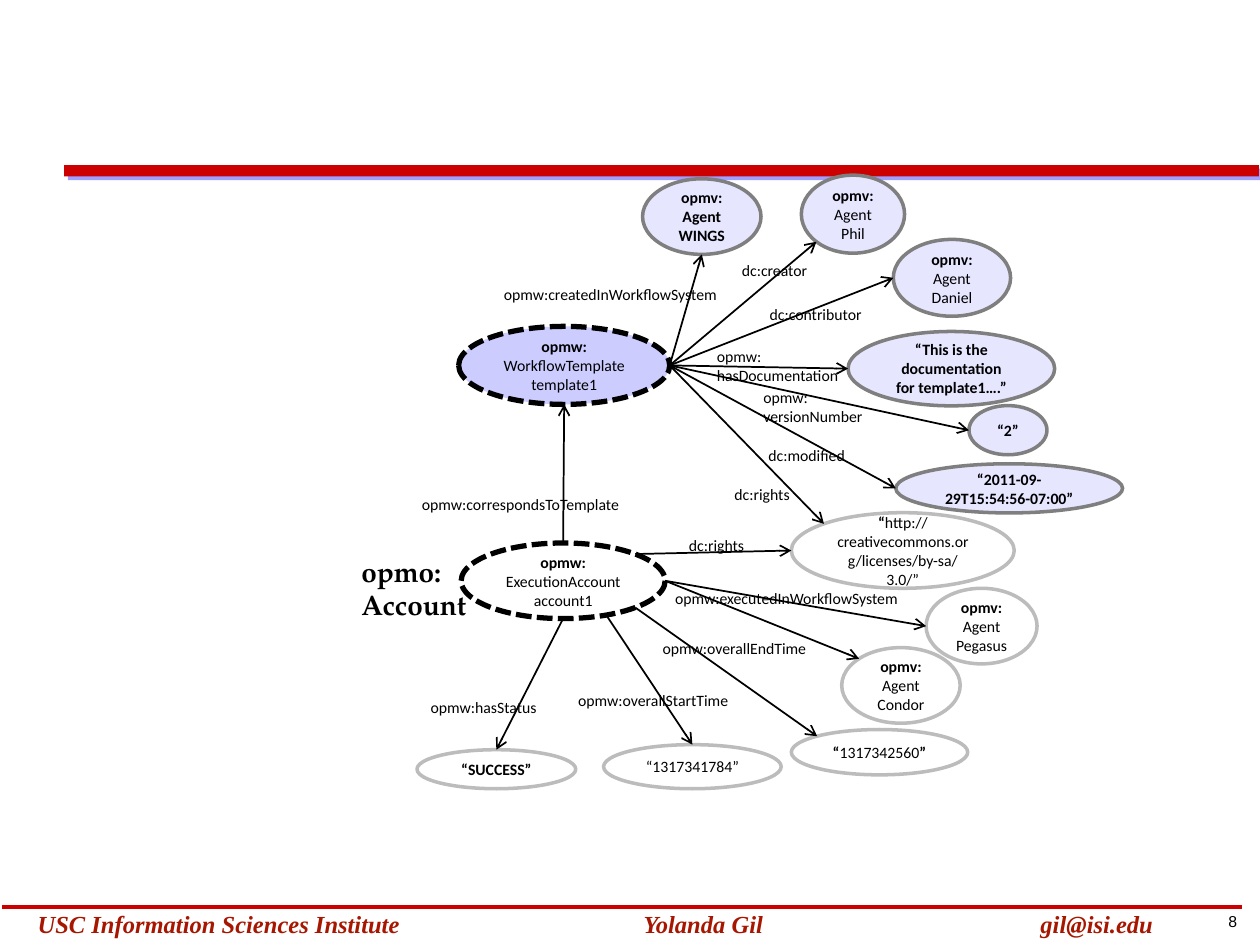
import math
import pptx
import pptx.util
import pptx.dml.color
import pptx.enum.dml
import pptx.enum.shapes
import pptx.enum.text
import pptx.oxml
import pptx.oxml.ns

Pt = pptx.util.Pt
PP_ALIGN = pptx.enum.text.PP_ALIGN
SHAPES = pptx.enum.shapes.MSO_SHAPE
STRAIGHT = pptx.enum.shapes.MSO_CONNECTOR.STRAIGHT
A_NS = pptx.oxml.ns.nsdecls("a")


def color(hex_code):
    return pptx.dml.color.RGBColor.from_string(hex_code)


def write_text(frame, text, size=9, font="Calibri", ink="000000", bold=False,
               italic=False, align=PP_ALIGN.LEFT, wrap=True):
    frame.word_wrap = wrap
    paragraph = frame.paragraphs[0]
    paragraph.alignment = align
    for index, line in enumerate(text.split("\n")):
        if index:
            paragraph.add_line_break()
        if line:
            run = paragraph.add_run()
            run.text = line
            run.font.size = Pt(size)
            run.font.name = font
            run.font.bold = bold
            run.font.italic = italic
            run.font.color.rgb = color(ink)


deck = pptx.Presentation()
deck.slide_width, deck.slide_height = Pt(720), Pt(540)
slide = deck.slides.add_slide(deck.slide_layouts[6])
shapes = slide.shapes

header_bar = shapes.add_shape(SHAPES.RECTANGLE, Pt(36.7), Pt(94.3), Pt(682.6), Pt(6.5))
header_bar.fill.solid()
header_bar.fill.fore_color.rgb = color("CC0000")
header_bar.line.fill.background()
header_bar.shadow.inherit = False
header_bar._element.spPr.find(pptx.oxml.ns.qn("a:effectLst")).append(pptx.oxml.parse_xml(
    f'<a:outerShdw {A_NS} dist="38100" dir="2700000"><a:srgbClr val="8080FF">'
    '<a:alpha val="75000"/></a:srgbClr></a:outerShdw>'))

footer_rule = shapes.add_connector(STRAIGHT, Pt(1.4), Pt(518.4), Pt(709.9), Pt(518.4))
footer_rule.line.color.rgb = color("CC0000")
footer_rule.line.width = Pt(2)
footer_rule._element.spPr.append(pptx.oxml.parse_xml(f"<a:effectLst {A_NS}/>"))

page_number = shapes.add_textbox(Pt(676.8), Pt(517.7), Pt(55.4), Pt(18))
write_text(page_number.text_frame, "8", font="Arial", align=PP_ALIGN.CENTER, wrap=False)

for text, left, width in [
    ("Yolanda Gil", 360.7, 144.7),
    ("USC Information Sciences Institute", 14.4, 240),
    ("gil@isi.edu", 587.5, 132.5),
]:
    footer = shapes.add_textbox(Pt(left), Pt(516.2), Pt(width), Pt(23.8))
    write_text(footer.text_frame, text, size=14, font="Times New Roman", ink="A61600",
               bold=True, italic=True)

styles = {
    "template": ("CCCCFF", "000000", 3),
    "account": ("FFFFFF", "000000", 3),
    "template value": ("E6E6FF", "7F7F7F", 2),
    "account value": ("FFFFFF", "BCBCBC", 2),
}
nodes = {
    "phil": ("template value", 457.9, 100.1, 59, 44.6, [("opmv:\n", True), ("Agent\nPhil", False)]),
    "template": ("template", 262.1, 186.5, 120.6, 44.6,
                 [("opmw:\n", True), ("WorkflowTemplate\ntemplate1", False)]),
    "account": ("account", 263.5, 310.3, 116.6, 43.2,
                [("opmw:\n", True), ("ExecutionAccount\naccount1", False)]),
    "daniel": ("template value", 510.5, 136.8, 67, 43.9,
               [("opmv:\n", True), ("Agent\nDaniel", False)]),
    "documentation": ("template value", 484.6, 189.4, 118.1, 42.5,
                      [("“This is the documentation for template1….”", True)]),
    "version": ("template value", 553.7, 231.8, 44.6, 28.1, [("“2”", True)]),
    "pegasus": ("account value", 529.2, 336.2, 63.4, 43.2,
                [("opmv:\n", True), ("Agent\nPegasus", False)]),
    "end time": ("account value", 452.2, 416.9, 100.8, 25.9,
                 [("“", True), ("1317342560", False), ("”", True)]),
    "start time": ("account value", 344.9, 425.5, 101.5, 25.2, [("“1317341784”", False)]),
    "status": ("account value", 238.3, 428.4, 90.7, 22.3, [("“SUCCESS”", True)]),
    "license": ("account value", 452.2, 293, 127.4, 43.2,
                [("“", True), ("http://creativecommons.org/licenses/by-sa/3.0/”", False)]),
    "condor": ("account value", 481, 370.1, 67.7, 43.2,
               [("opmv:\n", True), ("Agent\nCondor", False)]),
    "modified": ("template value", 511.9, 265, 129.6, 28.1,
                 [("“2011-09-29T15:54:56-07:00”", True)]),
    "wings": ("template value", 367.2, 102.2, 67.7, 43.2, [("opmv:\nAgent\nWINGS", True)]),
}
for style, left, top, width, height, runs in nodes.values():
    fill, outline, weight = styles[style]
    node = shapes.add_shape(SHAPES.OVAL, Pt(left), Pt(top), Pt(width), Pt(height))
    node.shadow.inherit = False
    node.fill.solid()
    node.fill.fore_color.rgb = color(fill)
    node.line.color.rgb = color(outline)
    node.line.width = Pt(weight)
    if style in ("template", "account"):
        node.line.dash_style = pptx.enum.dml.MSO_LINE.SQUARE_DOT
    node.text_frame.vertical_anchor = pptx.enum.text.MSO_ANCHOR.MIDDLE
    for text, bold in runs:
        write_text(node.text_frame, text, bold=bold, align=PP_ALIGN.CENTER)

EAST, SOUTHEAST, SOUTH, SOUTHWEST, WEST, NORTHWEST, NORTH, NORTHEAST = range(0, 360, 45)
for source, source_angle, target, target_angle in [
    ("account", NORTH, "template", SOUTH),
    ("template", EAST, "wings", SOUTH),
    ("template", EAST, "phil", SOUTHWEST),
    ("template", EAST, "daniel", WEST),
    ("template", EAST, "documentation", WEST),
    ("template", EAST, "version", WEST),
    ("template", EAST, "modified", WEST),
    ("template", EAST, "license", NORTHWEST),
    ("account", NORTHEAST, "license", WEST),
    ("account", EAST, "pegasus", WEST),
    ("account", EAST, "condor", NORTHWEST),
    ("account", SOUTHEAST, "end time", NORTHWEST),
    ("account", 65, "start time", NORTH),
    ("account", SOUTH, "status", NORTH),
]:
    ends = []
    for name, angle in ((source, source_angle), (target, target_angle)):
        left, top, width, height = nodes[name][1:5]
        ends.append(Pt(left + width / 2 * (1 + math.cos(math.radians(angle)))))
        ends.append(Pt(top + height / 2 * (1 + math.sin(math.radians(angle)))))
    relation = shapes.add_connector(STRAIGHT, *ends)
    relation.line.color.rgb = color("000000")
    relation.line.width = Pt(1)
    relation.line._get_or_add_ln().append(
        pptx.oxml.parse_xml(f'<a:tailEnd {A_NS} type="arrow"/>'))
    relation._element.spPr.append(pptx.oxml.parse_xml(f"<a:effectLst {A_NS}/>"))

for text, left, top, width in [
    ("opmw:correspondsToTemplate", 234, 279.4, 210.2),
    ("opmw:createdInWorkflowSystem", 280.8, 159.1, 141.1),
    ("opmw:executedInWorkflowSystem", 378.7, 332.6, 158.4),
    ("opmw:overallEndTime", 371.5, 361.4, 104.4),
    ("opmw:overallStartTime", 323.3, 391, 106.6),
    ("opmw:hasStatus", 239, 395.3, 81.4),
    ("dc:rights", 386.6, 302.4, 46.8),
    ("dc:contributor", 432.7, 170.6, 73.4),
    ("opmw:\nhasDocumentation", 402.5, 194.4, 85),
    ("opmw:\nversionNumber", 429.1, 218.2, 85),
    ("dc:modified", 432, 251.3, 85),
    ("dc:creator", 416.9, 145.4, 54.7),
    ("dc:rights", 412.6, 273.6, 46.8),
]:
    height = 18 + 10.8 * text.count("\n")
    label = shapes.add_textbox(Pt(left), Pt(top), Pt(width), Pt(height))
    write_text(label.text_frame, text)

account_type = shapes.add_textbox(Pt(199.4), Pt(313.2), Pt(89.3), Pt(46.1))
write_text(account_type.text_frame, "opmo:\nAccount", size=16, font="TeX Gyre Pagella", bold=True)

deck.save("out.pptx")
